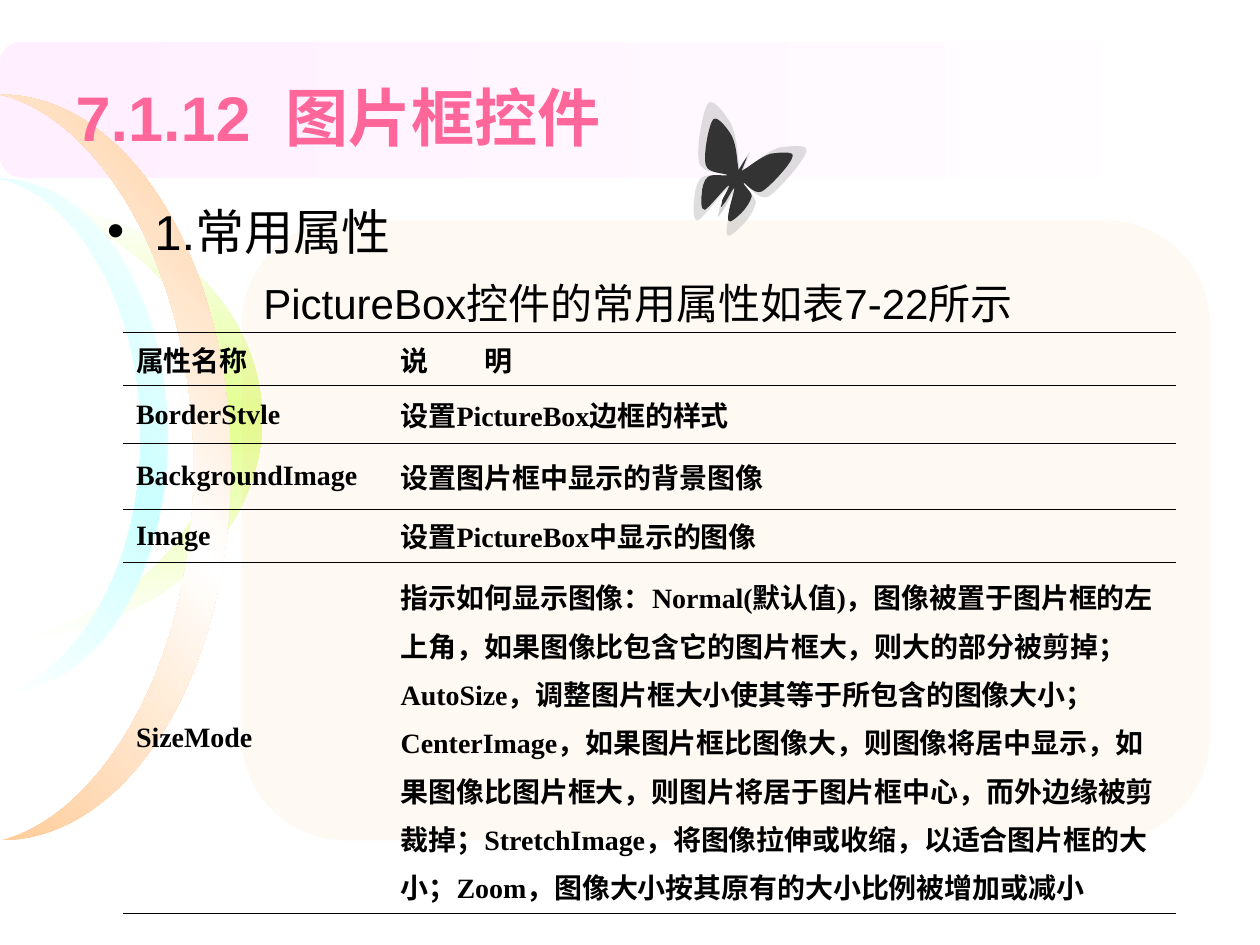
from dataclasses import dataclass

from lxml import etree
from pptx import Presentation
from pptx.dml.color import RGBColor
from pptx.enum.shapes import MSO_SHAPE
from pptx.enum.text import MSO_ANCHOR, MSO_AUTO_SIZE, PP_ALIGN
from pptx.oxml.ns import qn
from pptx.util import Inches, Pt

PANEL = MSO_SHAPE.FLOWCHART_ALTERNATE_PROCESS
MIDDLE = MSO_ANCHOR.MIDDLE
LEFT = PP_ALIGN.LEFT
NO_FIT = MSO_AUTO_SIZE.NONE


@dataclass(frozen=True)
class Theme:
    white: str = "FFFFFF"
    ink: str = "000000"
    title: str = "FF6699"
    band: str = "FFEFFF"
    lime: str = "E2FF8F"
    peach: str = "FFCC99"
    aqua: str = "CCFFFF"
    wing: str = "333333"
    wing_shade: str = "C0C0C0"
    sans: str = "Arial"
    serif: str = "Times New Roman"
    chinese: str = "Noto Sans CJK SC"
    title_size: int = 36
    heading_size: int = 28
    caption_size: int = 24
    table_size: int = 16
    rule_width: float = 0.23


# Each table cell lists its spans: serif and Chinese fonts take turns
ROWS = [
    (0.42, ["属性名称"], ["说\u3000\u3000明"]),
    (0.46, ["BorderStvle"], ["设置PictureBox", "边框的样式"]),
    (0.52, ["BackgroundImage"], ["设置图片框中显示的背景图像"]),
    (0.40, ["Image"], ["设置PictureBox", "中显示的图像"]),
    (2.67, ["SizeMode"], [
        "指示如何显示图像：Normal(", "默认值", ")",
        "，图像被置于图片框的左上角，如果图像比包含它的图片框大，则大的部分被剪掉；",
        "AutoSize", "，调整图片框大小使其等于所包含的图像大小；",
        "CenterImage",
        "，如果图片框比图像大，则图像将居中显示，如果图像比图片框大，"
        "则图片将居于图片框中心，而外边缘被剪裁掉；",
        "StretchImage", "，将图像拉伸或收缩，以适合图片框的大小；",
        "Zoom", "，图像大小按其原有的大小比例被增加或减小"]),
]

# Wing outlines: a start point, then three points for each curve
LEFT_WING = [
    (5.86, 1.26), (5.85, 1.16), (5.84, 1.06), (5.8, 0.98),
    (5.76, 0.91), (5.66, 0.77), (5.62, 0.82), (5.58, 0.87), (5.52, 1.19), (5.55, 1.29),
    (5.57, 1.38), (5.75, 1.37), (5.76, 1.39), (5.76, 1.41), (5.62, 1.37), (5.57, 1.41),
    (5.53, 1.44), (5.51, 1.53), (5.51, 1.59), (5.5, 1.64), (5.5, 1.76), (5.54, 1.75),
    (5.58, 1.73), (5.74, 1.52), (5.77, 1.5), (5.8, 1.49), (5.72, 1.62), (5.71, 1.65),
    (5.71, 1.69), (5.68, 1.76), (5.72, 1.69), (5.76, 1.62), (5.92, 1.29), (5.94, 1.23),
    (5.97, 1.17), (5.92, 1.25), (5.87, 1.34)]
RIGHT_WING = [
    (5.96, 1.31), (6.04, 1.25), (6.12, 1.19), (6.19, 1.17),
    (6.27, 1.16), (6.42, 1.14), (6.4, 1.2), (6.39, 1.27), (6.18, 1.51), (6.1, 1.56),
    (6.02, 1.6), (5.93, 1.46), (5.92, 1.47), (5.9, 1.48), (6, 1.56), (6, 1.61),
    (5.99, 1.66), (5.94, 1.74), (5.9, 1.78), (5.86, 1.82), (5.78, 1.9), (5.77, 1.86),
    (5.75, 1.81), (5.83, 1.56), (5.83, 1.53), (5.83, 1.5), (5.76, 1.64), (5.74, 1.67),
    (5.72, 1.69), (5.68, 1.76), (5.71, 1.69), (5.75, 1.62), (5.91, 1.28), (5.94, 1.23),
    (5.97, 1.17), (5.93, 1.26), (5.9, 1.35)]


class SlideBuilder:
    def __init__(self, page, theme):
        self.page, self.theme = page, theme

    def finish(self, shape):
        shape.shadow.inherit = False
        shape.line.fill.background()
        return shape

    def solid(self, shape, color, alpha=100):
        shape.fill.solid()
        shape.fill.fore_color.rgb = RGBColor.from_string(color)
        if alpha < 100:
            node = shape._element.spPr.find(".//" + qn("a:srgbClr"))
            etree.SubElement(node, qn("a:alpha"), val=str(alpha * 1000))

    def gradient(self, shape, colors, angle):
        shape.fill.gradient()
        shape.fill.gradient_angle = angle
        stops = shape._element.spPr.find(".//" + qn("a:gsLst"))
        stops.clear()
        for index, color in enumerate(colors):
            position = 100000 * index // (len(colors) - 1)
            stop = etree.SubElement(stops, qn("a:gs"), pos=str(position))
            etree.SubElement(stop, qn("a:srgbClr"), val=color)

    def panel(self, left, top, width, height):
        return self.finish(self.page.shapes.add_shape(
            PANEL, Inches(left), Inches(top), Inches(width), Inches(height)))

    def outline(self, curves):
        points = [(Inches(x), Inches(y)) for x, y in curves]
        builder = self.page.shapes.build_freeform(*points[0])
        builder.add_line_segments(points[1:], close=True)
        shape = builder.convert_to_shape()
        # Join every three line segments into one cubic curve
        lines = list(shape._element.spPr.iter(qn("a:lnTo")))[:len(points) - 1]
        for start in range(0, len(lines), 3):
            curve = etree.Element(qn("a:cubicBezTo"))
            lines[start].addprevious(curve)
            for line in lines[start:start + 3]:
                curve.append(line[0])
                line.getparent().remove(line)
        return self.finish(shape)

    def crescent(self, top, width, height, colors, angle):
        unit = [(0, 1), (0.42, 0.97), (0.84, 0.77), (0.84, 0.5),
                (0.84, 0.23), (0.42, 0.03), (0, 0),
                (0.55, 0), (1, 0.22), (1, 0.5), (1, 0.78), (0.55, 1), (0, 1)]
        shape = self.outline([(x * width, top + y * height) for x, y in unit])
        self.gradient(shape, colors, angle)

    def style(self, font, name, size, color, bold=False):
        font.name, font.size, font.bold = name, Pt(size), bold
        font.color.rgb = RGBColor.from_string(color)

    def place(self, box, left, top, width, height):
        box.left, box.top = Inches(left), Inches(top)
        box.width, box.height = Inches(width), Inches(height)
        box.text_frame.auto_size = NO_FIT
        self.page.shapes._spTree.append(box._element)  # bring to the front

    def title(self, text, *frame):
        box = self.page.shapes.title
        self.place(box, *frame)
        box.text_frame.vertical_anchor = MIDDLE
        para = box.text_frame.paragraphs[0]
        para.text, para.alignment = text, LEFT
        self.style(para.font, self.theme.sans, self.theme.title_size, self.theme.title, True)

    def body(self, heading, caption, *frame):
        theme, box = self.theme, self.page.placeholders[1]
        self.place(box, *frame)
        first = box.text_frame.paragraphs[0]
        second = box.text_frame.add_paragraph()
        properties = second._p.get_or_add_pPr()
        properties.set("marL", str(Inches(1.24)))
        properties.set("indent", "0")
        etree.SubElement(properties, qn("a:buNone"))
        for para, text, size, gap in ((first, heading, theme.heading_size, 7),
                                      (second, caption, theme.caption_size, 9.5)):
            para.text, para.space_before = text, Pt(gap)
            self.style(para.font, theme.sans, size, theme.ink)

    def cell(self, cell, texts, spacing):
        theme = self.theme
        cell.vertical_anchor = MIDDLE
        properties = cell._tc.get_or_add_tcPr()
        for side in "LRTB":
            rule = etree.SubElement(properties, qn("a:ln" + side), w=str(Pt(theme.rule_width)))
            if side in "LR":
                etree.SubElement(rule, qn("a:noFill"))
            else:
                paint = etree.SubElement(rule, qn("a:solidFill"))
                etree.SubElement(paint, qn("a:srgbClr"), val=theme.ink)
        cell.fill.background()
        para = cell.text_frame.paragraphs[0]
        para.space_before, para.line_spacing = Pt(4), spacing
        for index, text in enumerate(texts):
            span = para.add_run()
            span.text = text
            name = theme.chinese if index % 2 else theme.serif
            self.style(span.font, name, theme.table_size, theme.ink, True)

    def table(self, rows, widths, left, top):
        height = sum(row[0] for row in rows)
        table = self.page.shapes.add_table(
            len(rows), len(widths), Inches(left), Inches(top),
            Inches(sum(widths)), Inches(height)).table
        table.first_row = table.horz_banding = False
        for column, width in zip(table.columns, widths):
            column.width = Inches(width)
        for r, (row_height, *cells) in enumerate(rows):
            table.rows[r].height = Inches(row_height)
            for c, texts in enumerate(cells):
                self.cell(table.cell(r, c), texts, 1.2 if len(texts) > 2 else 1.0)

    def butterfly(self):
        wings = (LEFT_WING, RIGHT_WING)
        for wing in wings:
            self.solid(self.outline(wing), self.theme.wing_shade, 52)
        for wing in wings:  # the dark wings are the pale ones, made smaller
            small = [(5.57 + (x - 5.51) * 0.81, 0.95 + (y - 0.82) * 0.77) for x, y in wing]
            self.solid(self.outline(small), self.theme.wing)


def main():
    deck = Presentation()
    deck.slide_width, deck.slide_height = Inches(10), Inches(7.5)
    theme = Theme()
    slide = SlideBuilder(deck.slides.add_slide(deck.slide_layouts[1]), theme)

    # Background decoration
    slide.gradient(slide.panel(0, 0.33, 10, 1.08), (theme.white, theme.band), 180)
    slide.crescent(1.58, 2.08, 3.5, (theme.white, theme.lime, theme.white), 90)
    slide.crescent(0.75, 1.83, 5.92, (theme.peach, theme.white, theme.peach), 45)
    slide.crescent(1.42, 1.33, 4.08, (theme.white, theme.aqua, theme.white), 45)
    slide.solid(slide.panel(1.92, 1.75, 7.68, 4.92), theme.peach, 10)

    # Content
    slide.title("7.1.12  图片框控件", 0.5, 0.3, 9, 1.25)
    slide.body("1.常用属性", "PictureBox控件的常用属性如表7-22所示", 0.75, 1.55, 8.28, 1.29)
    slide.table(ROWS, (2.1, 6.25), 0.98, 2.64)
    slide.butterfly()

    deck.save("out.pptx")


if __name__ == "__main__":
    main()
